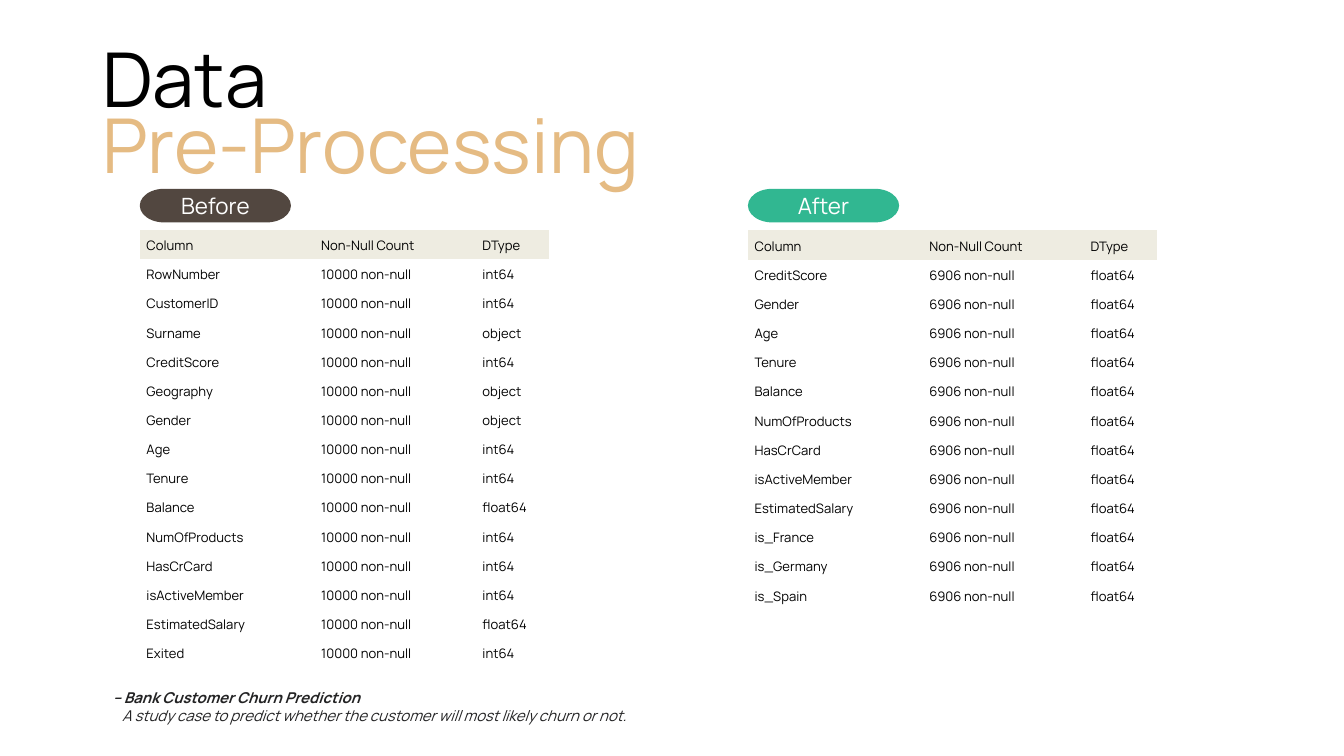
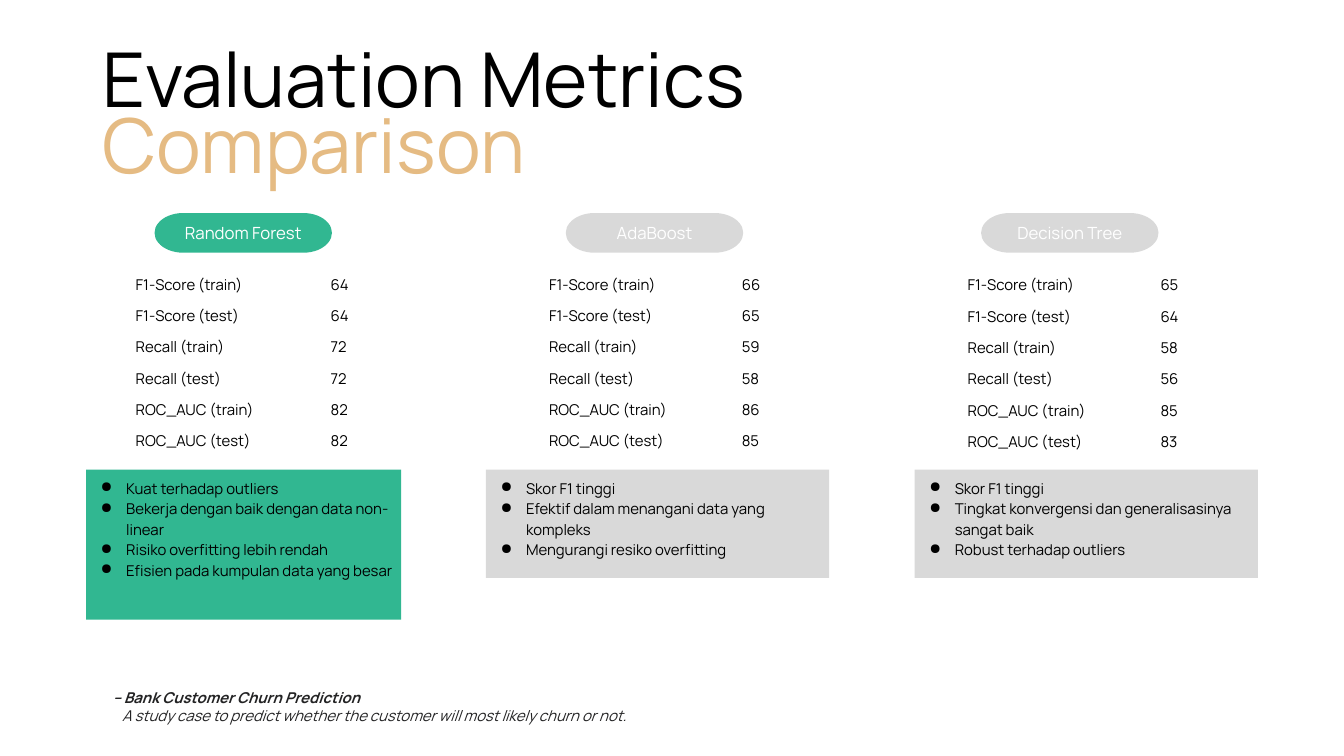
from pptx import Presentation
from pptx.dml.color import RGBColor
from pptx.enum.shapes import MSO_SHAPE as Preset
from pptx.enum.text import MSO_ANCHOR as Anchor, MSO_AUTO_SIZE as AutoSize, PP_ALIGN as Align
from pptx.oxml.ns import qn
from pptx.util import Inches, Pt
from lxml.etree import SubElement

FONT = "Manrope"
BLACK = RGBColor(0x00, 0x00, 0x00)
WHITE = RGBColor(0xFF, 0xFF, 0xFF)
INK = RGBColor(0x23, 0x23, 0x24)
SAND = RGBColor(0xE5, 0xBB, 0x83)
CREAM = RGBColor(0xEE, 0xEC, 0xE1)
BROWN = RGBColor(0x52, 0x47, 0x40)
GREEN = RGBColor(0x31, 0xB7, 0x91)
GREY = RGBColor(0xD9, 0xD9, 0xD9)

PLAIN_TABLE = "{2D5ABB26-0587-4C30-8999-92F81FD0307C}"
LEFT = 1.52
HEADER = ("Column", "Non-Null Count", "DType")
METRICS = [f"{score} ({part})" for score in ("F1-Score", "Recall", "ROC_AUC")
           for part in ("train", "test")]
BEFORE = [("RowNumber", "int64"), ("CustomerID", "int64"), ("Surname", "object"),
          ("CreditScore", "int64"), ("Geography", "object"), ("Gender", "object"),
          ("Age", "int64"), ("Tenure", "int64"), ("Balance", "float64"),
          ("NumOfProducts", "int64"), ("HasCrCard", "int64"),
          ("isActiveMember", "int64"), ("EstimatedSalary", "float64"),
          ("Exited", "int64")]
AFTER = [(name, "float64") for name in (
    "CreditScore", "Gender", "Age", "Tenure", "Balance", "NumOfProducts",
    "HasCrCard", "isActiveMember", "EstimatedSalary", "is_France",
    "is_Germany", "is_Spain")]


def write(paragraph, text, size, color=BLACK, bold=False, italic=False,
          align=Align.LEFT, spacing=None, before=None, indent=0, bullet=None):
    """Put one formatted run of text into a paragraph."""
    paragraph.alignment = align
    if spacing:
        paragraph.line_spacing = spacing
    if before is not None:
        paragraph.space_before = Pt(before)
    run = paragraph.add_run()
    run.text = text
    font = run.font
    font.name, font.size, font.bold, font.italic = FONT, Pt(size), bold, italic
    font.color.rgb = color
    properties = paragraph._p.get_or_add_pPr()
    if indent:
        properties.set("marL", str(Inches(indent)))
    if bullet:
        properties.set("indent", str(Inches(-0.38)))
        tint = SubElement(properties, qn("a:buClr"))
        SubElement(tint, qn("a:srgbClr"), val=str(color))
        SubElement(properties, qn("a:buChar"), char=bullet)


def add_text_box(slide, left, top, width, height):
    """Add a wrapping text box and return its text frame."""
    box = slide.shapes.add_textbox(Inches(left), Inches(top), Inches(width), Inches(height))
    box.text_frame.word_wrap = True
    return box.text_frame


def write_title_line(frame, text, color):
    """Format a frame as one line of the large heading."""
    frame.margin_left = frame.margin_right = frame.margin_top = frame.margin_bottom = 0
    frame.vertical_anchor = Anchor.TOP
    frame.word_wrap = True
    frame.auto_size = AutoSize.SHAPE_TO_FIT_TEXT
    write(frame.paragraphs[0], text, 81, color, spacing=1.2, before=0)


def add_titled_slide(deck, heading, subheading, heading_width):
    """Add a slide with the two-line heading and the study footer."""
    slide = deck.slides.add_slide(deck.slide_layouts[5])
    title = slide.shapes.title
    title.left, title.top = Inches(LEFT), Inches(0.2)
    title.width, title.height = Inches(heading_width), Inches(1.63)
    write_title_line(title.text_frame, heading, BLACK)
    write_title_line(add_text_box(slide, LEFT, 1.18, 11.99, 1.63), subheading, SAND)

    footer = add_text_box(slide, LEFT, 10.2, 9.6, 0.64)
    write(footer.paragraphs[0], "– Bank Customer Churn Prediction", 16, INK,
          bold=True, italic=True, indent=0.06)
    write(footer.add_paragraph(),
          "A study case to predict whether the customer will most likely churn or not.",
          16, INK, italic=True, indent=0.2)
    return slide


def add_block(slide, preset, left, top, width, height, color):
    """Add a flat filled shape and return its text frame."""
    block = slide.shapes.add_shape(preset, Inches(left), Inches(top),
                                   Inches(width), Inches(height))
    block.shadow.inherit = False
    block.fill.solid()
    block.fill.fore_color.rgb = color
    block.line.fill.background()
    block.text_frame.word_wrap = True
    return block.text_frame


def add_pill(slide, label, left, top, width, height, color, size):
    """Add a rounded label."""
    frame = add_block(slide, Preset.FLOWCHART_TERMINATOR, left, top, width, height, color)
    frame.vertical_anchor = Anchor.MIDDLE
    write(frame.paragraphs[0], label, size, WHITE, align=Align.CENTER)


def add_cell_borders(cell, color):
    """Draw thin lines on all four sides of a cell."""
    properties = cell._tc.get_or_add_tcPr()
    for side in ("lnL", "lnR", "lnT", "lnB"):
        line = SubElement(properties, qn(f"a:{side}"), w=str(Pt(0.75)))
        SubElement(SubElement(line, qn("a:solidFill")), qn("a:srgbClr"), val=str(color))


def add_grid(slide, rows, left, top, widths, height, size, header_fill=None, border=None):
    """Add a plain table with optional header fill and borders."""
    table = slide.shapes.add_table(len(rows), len(widths), Inches(left), Inches(top),
                                   Inches(sum(widths)), Inches(height)).table
    table.first_row = table.horz_banding = False
    table._tbl.tblPr.find(qn("a:tableStyleId")).text = PLAIN_TABLE
    for column, width in zip(table.columns, widths):
        column.width = Inches(width)
    for row_number, values in enumerate(rows):
        for column_number, value in enumerate(values):
            cell = table.cell(row_number, column_number)
            cell.margin_left = cell.margin_right = Inches(0.1)
            cell.margin_top = cell.margin_bottom = Inches(0.1)
            if border is not None:
                add_cell_borders(cell, border)
            if header_fill is not None and row_number == 0:
                cell.fill.solid()
                cell.fill.fore_color.rgb = header_fill
            else:
                cell.fill.background()
            write(cell.text_frame.paragraphs[0], value, size)


def add_schema(slide, label, color, left, top, count, columns):
    """Add a labelled table of column names, counts and types."""
    rows = [HEADER] + [(name, f"{count} non-null", dtype) for name, dtype in columns]
    add_grid(slide, rows, left, top, (2.6, 2.4, 1.09), len(rows) * 6.5 / 15, 14,
             header_fill=CREAM)
    add_pill(slide, label, left, 2.81, 2.25, 0.5, color, 24)


def add_notes_panel(slide, points, left, width, height, color):
    """Add a filled panel with bulleted remarks."""
    frame = add_block(slide, Preset.RECTANGLE, left, 6.99, width, height, color)
    frame.margin_top = frame.margin_bottom = Inches(0.1)
    frame.vertical_anchor = Anchor.TOP
    for number, point in enumerate(points):
        paragraph = frame.add_paragraph() if number else frame.paragraphs[0]
        write(paragraph, point, 16, spacing=1.15, before=0 if number else 12,
              indent=0.5, bullet="●")


def add_model(slide, name, color, pill_left, grid_at, widths, scores, panel, points):
    """Add one model's label, scores and remarks."""
    add_pill(slide, name, pill_left, 3.17, 2.64, 0.59, color, 18)
    rows = [(metric, str(score)) for metric, score in zip(METRICS, scores)]
    add_grid(slide, rows, *grid_at, widths, 2.8, 16, border=WHITE)
    add_notes_panel(slide, points, *panel, color)


def main():
    """Build both slides and save the deck."""
    deck = Presentation()
    deck.slide_width, deck.slide_height = Inches(20), Inches(11.25)

    preprocessing = add_titled_slide(deck, "Data", "Pre-Processing", 9.6)
    add_schema(preprocessing, "Before", BROWN, 2.08, 3.42, 10000, BEFORE)
    add_schema(preprocessing, "After", GREEN, 11.13, 3.43, 6906, AFTER)

    comparison = add_titled_slide(deck, "Evaluation Metrics", "Comparison", 10.71)
    add_model(comparison, "Random Forest", GREEN, 2.3, (1.92, 3.98), (2.9, 0.93),
              (64, 64, 72, 72, 82, 82), (1.28, 4.69, 2.23),
              ("Kuat terhadap outliers",
               "Bekerja dengan baik dengan data non-linear",
               "Risiko overfitting lebih rendah",
               "Efisien pada kumpulan data yang besar"))
    add_model(comparison, "AdaBoost", GREY, 8.42, (8.07, 3.98), (2.87, 0.95),
              (66, 65, 59, 58, 86, 85), (7.23, 5.11, 1.61),
              ("Skor F1 tinggi",
               "Efektif dalam menangani data yang kompleks",
               "Mengurangi resiko overfitting"))
    add_model(comparison, "Decision Tree", GREY, 14.6, (14.3, 3.99), (2.87, 0.79),
              (65, 64, 58, 56, 85, 83), (13.61, 5.11, 1.61),
              ("Skor F1 tinggi",
               "Tingkat konvergensi dan generalisasinya sangat baik",
               "Robust terhadap outliers"))

    deck.save("out.pptx")


if __name__ == "__main__":
    main()
